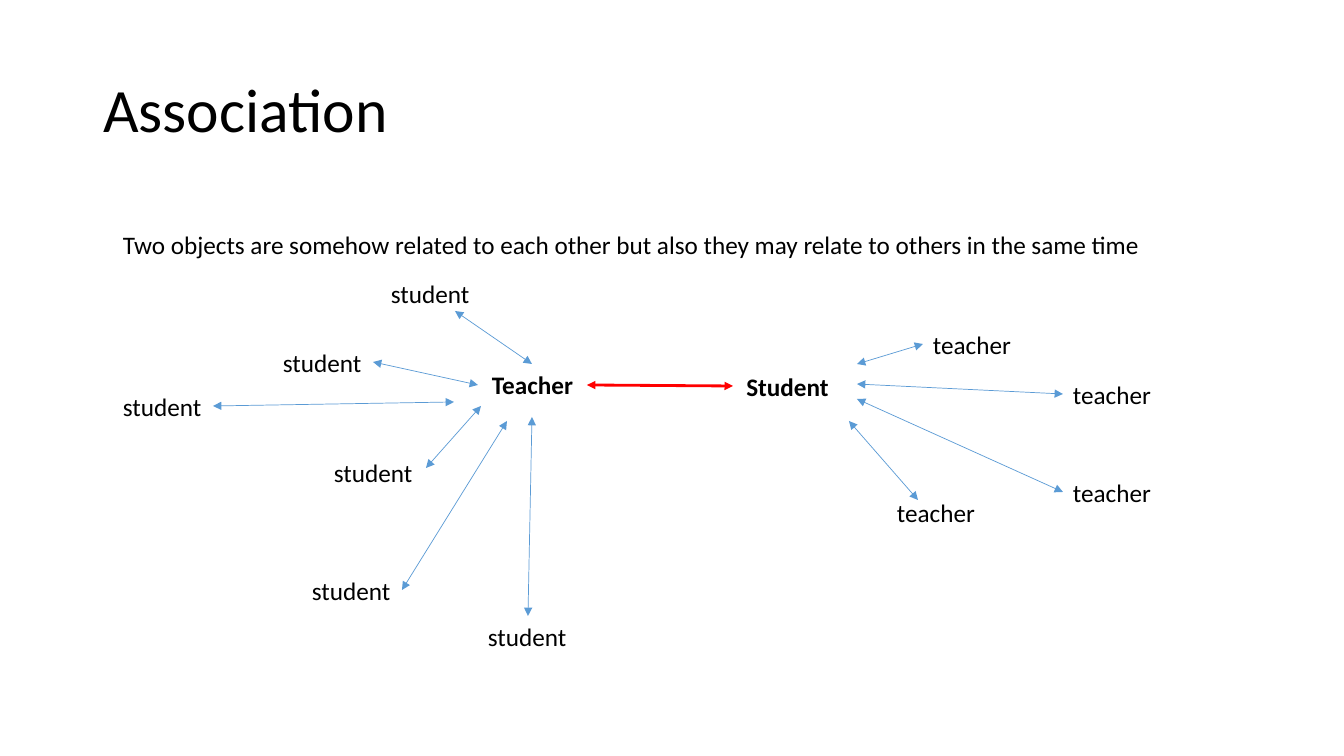
from pptx import Presentation
from pptx.dml.color import RGBColor as Rgb
from pptx.enum.shapes import MSO_CONNECTOR as Conn
from pptx.enum.text import MSO_ANCHOR as Anchor, MSO_AUTO_SIZE as Auto, PP_ALIGN as Align
from pptx.oxml.ns import qn
from pptx.util import Pt
from lxml.etree import SubElement as Sub

# Content: lengths in pixels, 100.8 to the inch
TITLE = ("Association", (93, 40, 1159, 146))
NOTE = ("Two objects are somehow related to each other but also "
        "they may relate to others in the same time", (113, 224, 1049))
HUBS = [("Teacher", (478, 364, 109)), ("Student", (733, 366, 109))]
BOND = (587, 385, 733, 386)

# Word, label width, then (label left and top, arrow from and to)
LINKS = [
    ("teacher", 99, [
        ((923, 324), (857, 364, 923, 344)),
        ((1063, 374), (857, 384, 1063, 394)),
        ((887, 492), (849, 421, 918, 500)),
        ((1063, 472), (857, 399, 1063, 492)),
    ]),
    ("student", 100, [
        ((273, 342), (373, 362, 478, 385)),
        ((324, 452), (426, 468, 481, 406)),
        ((113, 386), (213, 406, 454, 402)),
        ((302, 570), (402, 590, 507, 421)),
        ((381, 273), (455, 311, 532, 364)),
        ((478, 616), (528, 616, 532, 417)),
    ]),
]

THEME = {
    "font": "Calibri", "ink": "000000", "title": 44, "body": 18,
    "bond": ("FF0000", 2), "link": ("5B9BD5", 0.5), "row": 40,
}


def emu(*vals):
    return [round(v * 914400 / 100.8) for v in vals]


def write(frame, text, size, bold=False, align=Align.LEFT):
    par = frame.paragraphs[0]
    par.alignment = align
    run = par.add_run()
    run.text = text
    font = run.font
    font.name, font.size, font.bold = THEME["font"], Pt(size), bold
    font.color.rgb = Rgb.from_string(THEME["ink"])
    return par


def label(text, left, top, width, hub=False):
    box = slide.shapes.add_textbox(*emu(left, top, width, THEME["row"]))
    frame = box.text_frame
    frame.word_wrap = hub
    frame.auto_size = Auto.SHAPE_TO_FIT_TEXT
    write(frame, text, THEME["body"], hub, Align.CENTER if hub else Align.LEFT)


def arrow(ends, style):
    color, width = style
    line = slide.shapes.add_connector(Conn.STRAIGHT, *emu(*ends))
    line.line.color.rgb = Rgb.from_string(color)
    line.line.width = Pt(width)
    props = line.element.spPr
    for tag in ("a:headEnd", "a:tailEnd"):
        Sub(props.find(qn("a:ln")), qn(tag), type="triangle")
    Sub(props, qn("a:effectLst"))


deck = Presentation()
deck.slide_width, deck.slide_height = emu(1344, 756)
slide = deck.slides.add_slide(deck.slide_layouts[5])

# Title
text, area = TITLE
head = slide.shapes.title
head.left, head.top, head.width, head.height = emu(*area)
head.text_frame.auto_size = Auto.NONE
head.text_frame.vertical_anchor = Anchor.MIDDLE
write(head.text_frame, text, THEME["title"]).line_spacing = 0.9

# Sentence and the two hubs
text, area = NOTE
label(text, *area)
for text, area in HUBS:
    label(text, *area, hub=True)
arrow(BOND, THEME["bond"])

# Related objects, each with its arrow
for word, width, items in LINKS:
    for spot, ends in items:
        label(word, *spot, width)
        arrow(ends, THEME["link"])

deck.save("out.pptx")
